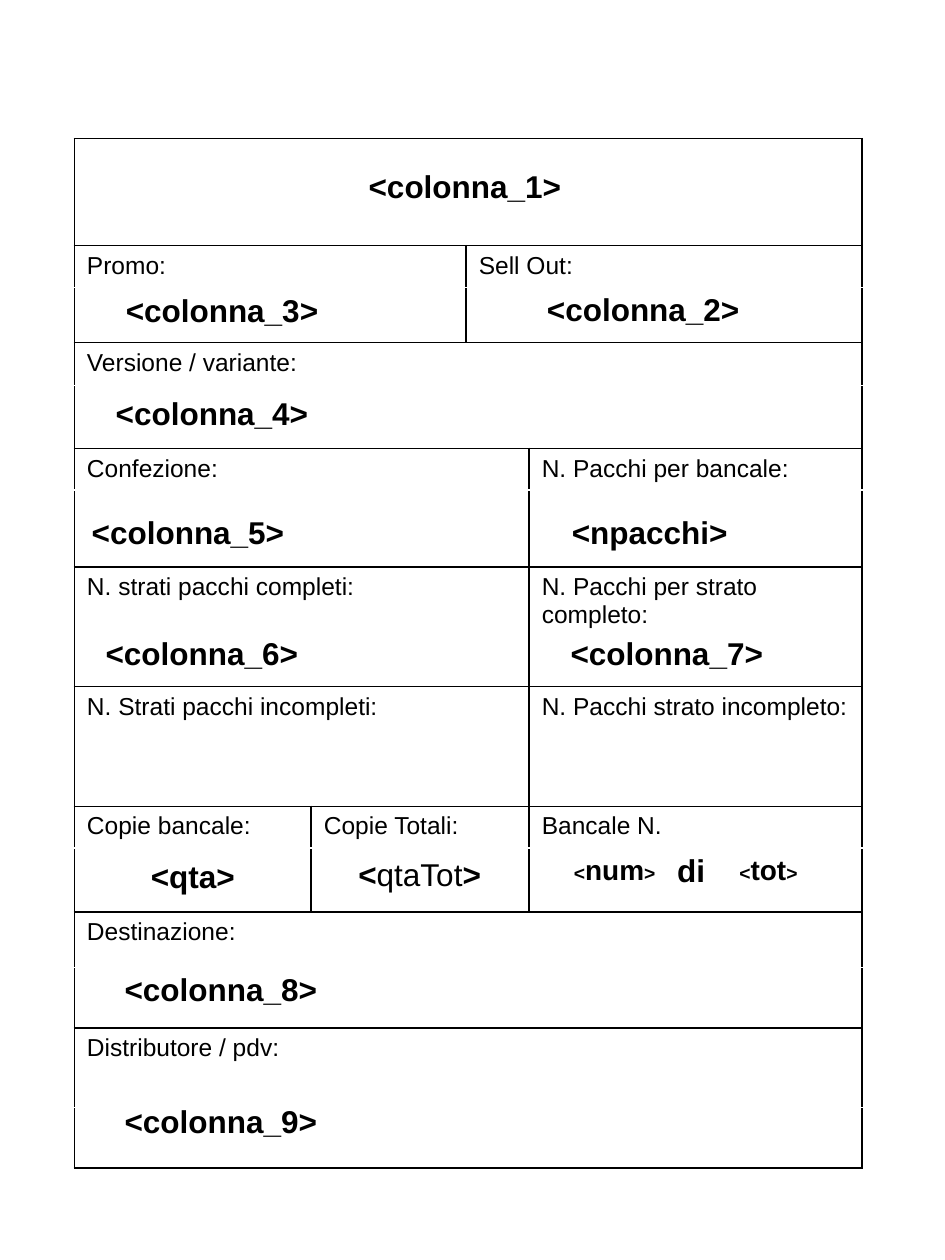
from itertools import accumulate
from lxml import etree
from pptx import Presentation, util as u
from pptx.dml.color import RGBColor
from pptx.enum import text
from pptx.oxml.ns import qn

COLORS = {"ink": "000000", "paper": "FFFFFF"}
FONT = "Arial"
GRID_COLS, GRID_ROWS = 750, 1000
STEP = u.Inches(0.01)
LEFT, CENTER, RIGHT = text.PP_ALIGN.LEFT, text.PP_ALIGN.CENTER, text.PP_ALIGN.RIGHT

LABEL_BOX = (59, 110, 624, 819)
COLUMN_WIDTHS = [188, 123, 50, 264]
FULL, HALVES, WIDE_NARROW, THIRDS = [4], [2, 2], [3, 1], [1, 2, 1]

ROWS = [
    (85, "whole", FULL, [""]),
    (33, "heading", HALVES, ["Promo:", "Sell Out:"]),
    (44, "entry", HALVES, ["", ""]),
    (34, "heading", FULL, ["Versione / variante:"]),
    (50, "entry", FULL, [""]),
    (33, "heading", WIDE_NARROW, ["Confezione:", "N. Pacchi per bancale:"]),
    (61, "entry", WIDE_NARROW, ["", ""]),
    (95, "whole", WIDE_NARROW, ["N. strati pacchi completi:", "N. Pacchi per strato completo:"]),
    (95, "whole", WIDE_NARROW, ["N. Strati pacchi incompleti:", "N. Pacchi strato incompleto:"]),
    (33, "heading", THIRDS, ["Copie bancale:", "Copie Totali:", "Bancale N."]),
    (51, "entry", THIRDS, ["", "", "di "]),
    (44, "heading", FULL, ["Destinazione:"]),
    (48, "entry", FULL, [""]),
    (63, "heading", FULL, ["Distributore / pdv:"]),
    (48, "entry", FULL, [""]),
]
OPEN_SIDE = {"whole": None, "heading": "B", "entry": "T"}


def bold(words):
    return [(words, 18, True)]


def counter(words):
    return [("<", 11, True), (words, 16, True), (">", 11, True)]


FIELDS = [
    (15, 18, 590, 40, CENTER, bold("<colonna_1>")),
    (349, 115, 205, 40, CENTER, bold("<colonna_2>")),
    (31, 116, 206, 40, LEFT, bold("<colonna_3>")),
    (23, 198, 575, 40, LEFT, bold("<colonna_4>")),
    (4, 292, 393, 40, LEFT, bold("<colonna_5>")),
    (385, 292, 205, 40, LEFT, bold("<npacchi>")),
    (3, 565, 182, 40, CENTER, bold("<qta>")),
    (185, 564, 178, 40, CENTER, [("<", 18, True), ("qtaTot", 18, False), (">", 18, True)]),
    (385, 562, 86, 37, RIGHT, counter("num")),
    (518, 562, 71, 37, LEFT, counter("tot")),
    (30, 655, 575, 40, LEFT, bold("<colonna_8>")),
    (15, 388, 197, 40, LEFT, bold("<colonna_6>")),
    (384, 388, 197, 40, LEFT, bold("<colonna_7>")),
    (30, 760, 575, 40, LEFT, bold("<colonna_9>")),
]


def write_runs(paragraph, runs, align):
    paragraph.alignment = align
    for words, size, is_bold in runs:
        run = paragraph.add_run()
        run.text = words
        run.font.name = FONT
        run.font.size = u.Pt(size)
        run.font.bold = is_bold
        run.font.color.rgb = RGBColor.from_string(COLORS["ink"])


def style_cell(cell, open_side):
    properties = cell._tc.get_or_add_tcPr()
    for side in "LRTB":
        edge = etree.SubElement(properties, qn(f"a:ln{side}"), w=str(u.Pt(1)))
        fill = etree.SubElement(edge, qn("a:solidFill"))
        color = COLORS["paper" if side == open_side else "ink"]
        etree.SubElement(fill, qn("a:srgbClr"), val=color)
    cell.fill.solid()
    cell.fill.fore_color.rgb = RGBColor.from_string(COLORS["paper"])


def draw_form(slide, box):
    frame = slide.shapes.add_table(len(ROWS), len(COLUMN_WIDTHS), *(n * STEP for n in box))
    form = frame.table
    form.first_row = form.horz_banding = False
    for column, width in zip(form.columns, COLUMN_WIDTHS):
        column.width = width * STEP
    for r, (height, kind, spans, captions) in enumerate(ROWS):
        form.rows[r].height = height * STEP
        for c in range(len(COLUMN_WIDTHS)):
            style_cell(form.cell(r, c), OPEN_SIDE[kind])
        for end, span, caption in zip(accumulate(spans), spans, captions):
            cell = form.cell(r, end - span)
            if span > 1:
                cell.merge(form.cell(r, end - 1))
            if caption:
                is_entry = kind == "entry"
                runs = bold(caption) if is_entry else [(caption, 14, False)]
                write_runs(cell.text_frame.paragraphs[0], runs, CENTER if is_entry else LEFT)


def draw_fields(slide, box):
    for x, y, width, height, align, runs in FIELDS:
        place = (box[0] + x, box[1] + y, width, height)
        field = slide.shapes.add_textbox(*(n * STEP for n in place)).text_frame
        field.word_wrap = True
        field.auto_size = text.MSO_AUTO_SIZE.SHAPE_TO_FIT_TEXT
        write_runs(field.paragraphs[0], runs, align)


def main():
    deck = Presentation()
    deck.slide_width, deck.slide_height = GRID_COLS * STEP, GRID_ROWS * STEP
    slide = deck.slides.add_slide(deck.slide_layouts[6])
    draw_form(slide, LABEL_BOX)
    draw_fields(slide, LABEL_BOX)
    deck.save("out.pptx")


if __name__ == "__main__":
    main()
